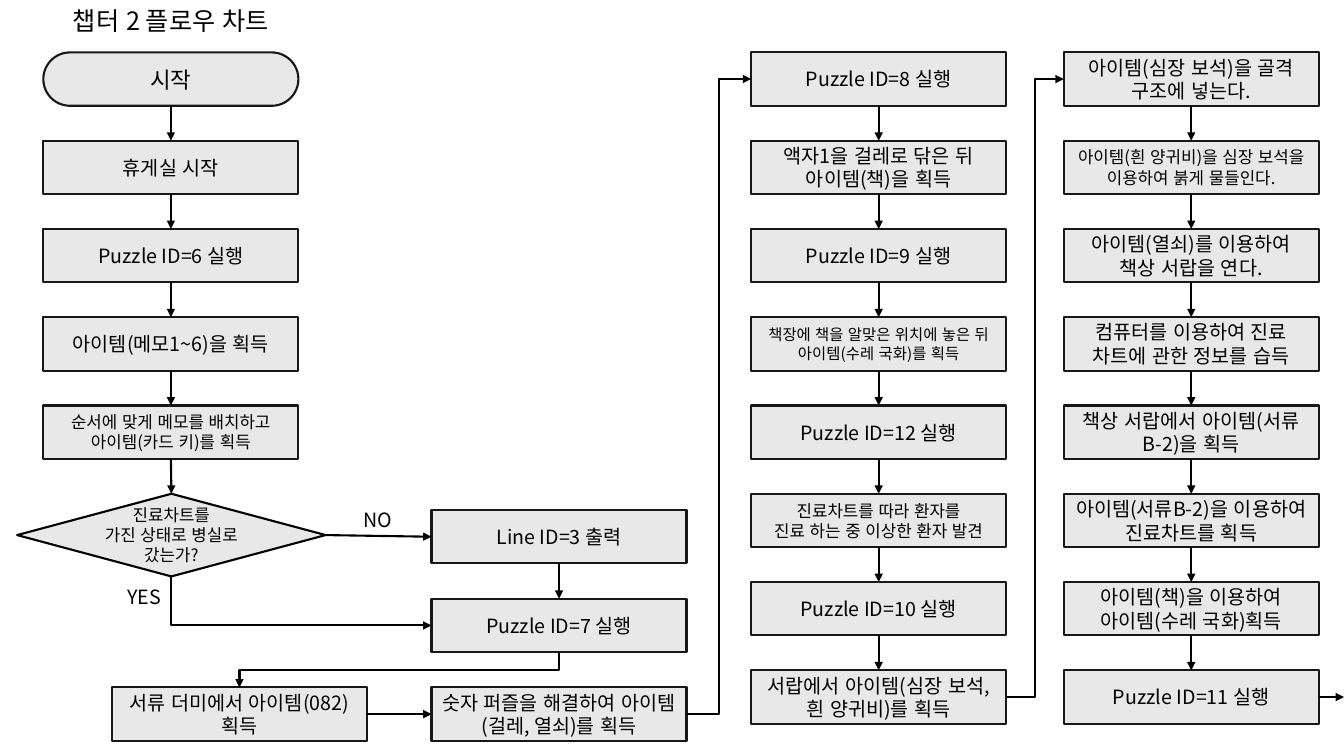
from lxml import etree
from pptx import Presentation
from pptx.dml.color import RGBColor
from pptx.enum.lang import MSO_LANGUAGE_ID
from pptx.enum.shapes import MSO_CONNECTOR, MSO_SHAPE
from pptx.enum.text import MSO_ANCHOR, MSO_AUTO_SIZE, PP_ALIGN
from pptx.oxml.ns import qn
from pptx.util import Inches, Pt

RECT, ROUNDED = MSO_SHAPE.RECTANGLE, MSO_SHAPE.ROUNDED_RECTANGLE
DECISION = MSO_SHAPE.FLOWCHART_DECISION
STRAIGHT, ELBOW = MSO_CONNECTOR.STRAIGHT, MSO_CONNECTOR.ELBOW
CENTER, TOP, MIDDLE = PP_ALIGN.CENTER, MSO_ANCHOR.TOP, MSO_ANCHOR.MIDDLE
NO_FIT, GROW = MSO_AUTO_SIZE.NONE, MSO_AUTO_SIZE.SHAPE_TO_FIT_TEXT
KOREAN = MSO_LANGUAGE_ID.KOREAN
S_TOP, S_LEFT, S_BOTTOM, S_RIGHT = range(4)

FONT = "Noto Sans CJK KR"
BLACK = RGBColor(0x00, 0x00, 0x00)
BORDER = RGBColor(0x17, 0x17, 0x17)
GRAY = RGBColor(0xE8, 0xE8, 0xE8)

TITLE = "챕터 2 플로우 차트"
START = [
    ("시작", 16),
    ("휴게실 시작", 14),
    ("Puzzle ID=6 실행", 14),
    ("아이템(메모1~6)을 획득", 14),
    ("순서에 맞게 메모를 배치하고 아이템(카드 키)를 획득", 12),
]
QUESTION = ("진료차트를\n가진 상태로 병실로 갔는가?", 12)
BRANCH = [
    ("Line ID=3 출력", 14),
    ("Puzzle ID=7 실행", 14),
    ("숫자 퍼즐을 해결하여 아이템(걸레, 열쇠)를 획득", 14),
]
PAPERS = ("서류 더미에서 아이템(082) 획득", 14)
SEARCH = [
    ("Puzzle ID=8 실행", 14),
    ("액자1을 걸레로 닦은 뒤 아이템(책)을 획득", 14),
    ("Puzzle ID=9 실행", 14),
    ("책장에 책을 알맞은 위치에 놓은 뒤 아이템(수레 국화)를 획득", 11),
    ("Puzzle ID=12 실행", 14),
    ("진료차트를 따라 환자를\n진료 하는 중 이상한 환자 발견", 12),
    ("Puzzle ID=10 실행", 14),
    ("서랍에서 아이템(심장 보석, 흰 양귀비)를 획득", 14),
]
FINISH = [
    ("아이템(심장 보석)을 골격 구조에 넣는다.", 14),
    ("아이템(흰 양귀비)을 심장 보석을 이용하여 붉게 물들인다.", 12),
    ("아이템(열쇠)를 이용하여 책상 서랍을 연다.", 14),
    ("컴퓨터를 이용하여 진료 차트에 관한 정보를 습득", 14),
    ("책상 서랍에서 아이템(서류B-2)을 획득", 14),
    ("아이템(서류B-2)을 이용하여 진료차트를 획득", 14),
    ("아이템(책)을 이용하여 아이템(수레 국화)획득", 14),
    ("Puzzle ID=11 실행", 14),
]
LABELS = [("NO", 3.48, 4.99), ("YES", 1.16, 5.75)]

SLIDE_W = 13.33
BOX_W, BOX_H = 2.53, 0.53
FIRST_Y, LAST_Y = 0.52, 6.65
BRANCH_Y = 5.06
STEP = (LAST_Y - FIRST_Y) / (len(FINISH) - 1)

prs = Presentation()
prs.slide_width, prs.slide_height = Inches(SLIDE_W), Inches(7.5)
s = prs.slides.add_slide(prs.slide_layouts[5])


def write(sp, text, size, **frame):
    tf = sp.text_frame
    for name, value in frame.items():
        setattr(tf, name, value)
    for i, line in enumerate(text.split("\n")):
        p = tf.add_paragraph() if i else tf.paragraphs[0]
        p.alignment = CENTER
        r = p.add_run()
        r.text = line
        style = {"name": FONT, "size": Pt(size), "language_id": KOREAN}
        for name, value in style.items():
            setattr(r.font, name, value)
        r.font.color.rgb = BLACK
        ea = etree.Element(qn("a:ea"), typeface=FONT)
        r.font._element.find(qn("a:latin")).addnext(ea)


def box(item, x, y, w=BOX_W, h=BOX_H, kind=RECT, border=BORDER):
    sp = s.shapes.add_shape(kind, Inches(x), Inches(y), Inches(w), Inches(h))
    sp.shadow.inherit = False
    sp.fill.solid()
    sp.fill.fore_color.rgb = GRAY
    sp.line.color.rgb = border
    sp.line.width = Pt(1.5)
    write(sp, *item, word_wrap=True, vertical_anchor=MIDDLE)
    return sp


def connector(kind, x1, y1, x2, y2):
    cx = s.shapes.add_connector(kind, int(x1), int(y1), int(x2), int(y2))
    cx.line.color.rgb = BLACK
    cx.line.width = Pt(1.5)
    etree.SubElement(cx.line._get_or_add_ln(), qn("a:tailEnd"), type="triangle")
    etree.SubElement(cx._element.spPr, qn("a:effectLst"))
    return cx


def site(sp, side):
    across, down = [(0.5, 0), (0, 0.5), (0.5, 1), (1, 0.5)][side]
    return sp.left + sp.width * across, sp.top + sp.height * down


def arrow(a, b, out=S_BOTTOM, into=S_TOP):
    cx = connector(STRAIGHT, *site(a, out), *site(b, into))
    cx.begin_connect(a, out)
    cx.end_connect(b, into)


def elbow_across(a, b):
    connector(ELBOW, *site(a, S_RIGHT), *site(b, S_LEFT))


def elbow_down(a, b, into, preset):
    (x1, y1), (x2, y2) = site(a, S_BOTTOM), site(b, into)
    w, h = abs(y2 - y1), abs(x2 - x1)
    left, top = (x1 + x2 - w) / 2, (y1 + y2 - h) / 2
    ends, turn = ((left + w, left), 270) if x2 > x1 else ((left, left + w), 90)
    cx = connector(ELBOW, ends[0], top, ends[1], top + h)
    spPr = cx._element.spPr
    spPr.find(qn("a:xfrm")).set("rot", str(turn * 60000))
    spPr.find(qn("a:prstGeom")).set("prst", preset)


def column(items, x, y=FIRST_Y, step=STEP):
    return [box(item, x, y + i * step, kind=ROUNDED if item is START[0] else RECT)
            for i, item in enumerate(items)]


title = s.shapes.title
place = {"left": 0.31, "top": 0, "width": 2.77, "height": 0.4}
for name, value in place.items():
    setattr(title, name, Inches(value))
write(title, TITLE, 18, word_wrap=True, vertical_anchor=TOP, auto_size=NO_FIT)

start = column(START, 0.43)
start[0].adjustments[0] = 0.5
question = box(QUESTION, 0.17, FIRST_Y + len(START) * STEP, 3.06, 0.82, DECISION, BLACK)
branch = column(BRANCH, 4.28, BRANCH_Y, 0.88)
papers = box(PAPERS, 1.11, BRANCH_Y + 2 * 0.88)
search = column(SEARCH, 7.45)
finish = column(FINISH, 10.55)

for chain in (start + [question], branch[:2], search, finish):
    for a, b in zip(chain, chain[1:]):
        arrow(a, b)
arrow(question, branch[0], S_RIGHT, S_LEFT)
arrow(papers, branch[2], S_RIGHT, S_LEFT)
elbow_down(question, branch[1], S_LEFT, "bentConnector2")
elbow_down(branch[1], papers, S_TOP, "bentConnector3")
elbow_across(branch[2], search[0])
elbow_across(search[-1], finish[0])

x, y = site(finish[-1], S_RIGHT)
connector(STRAIGHT, x, y, Inches(SLIDE_W), y).begin_connect(finish[-1], S_RIGHT)

for text, x, y in LABELS:
    tb = s.shapes.add_textbox(Inches(x), Inches(y), Inches(0.54), Inches(0.34))
    write(tb, text, 14, word_wrap=False, auto_size=GROW)

prs.save("out.pptx")
